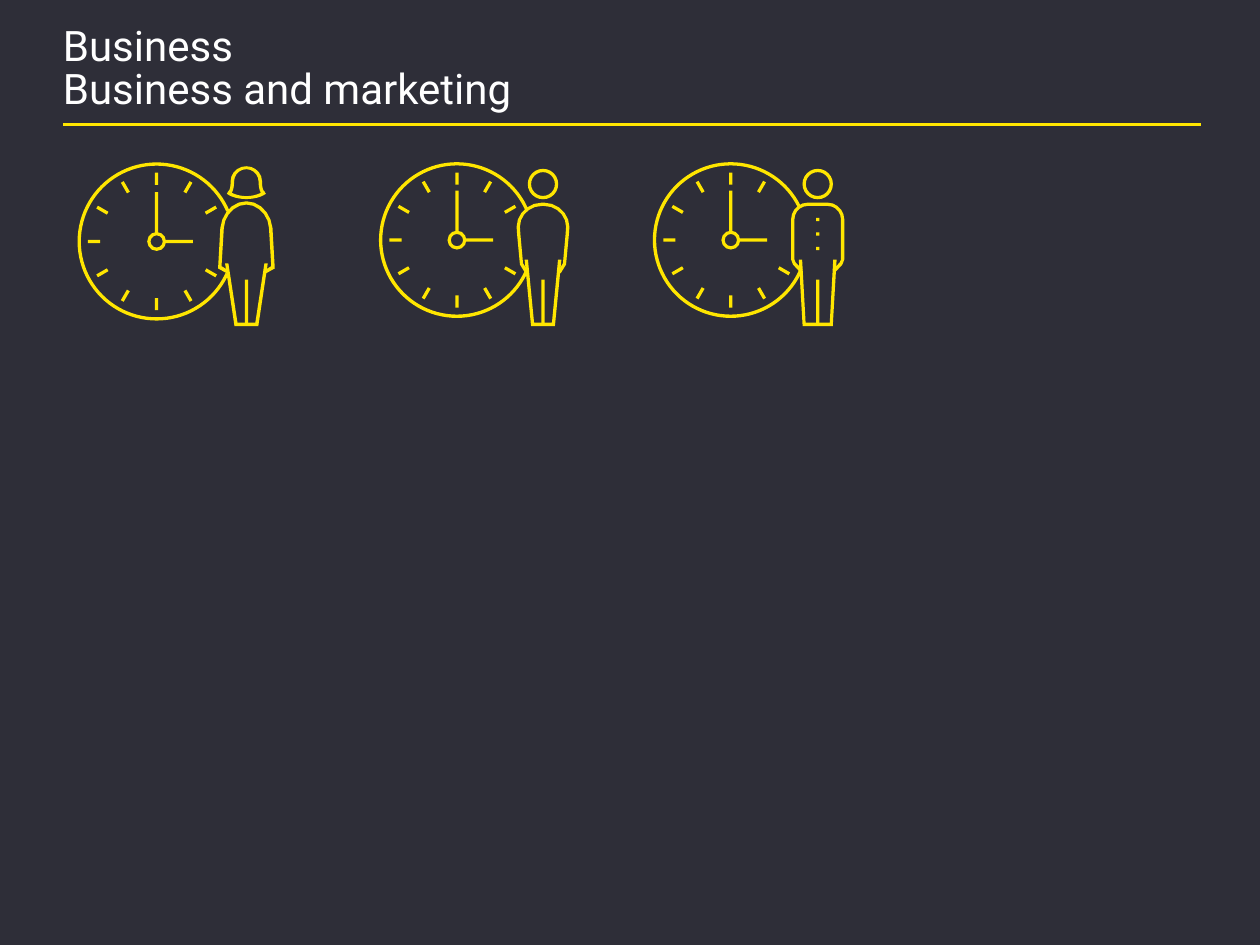
from math import cos, radians, sin

from pptx import Presentation
from pptx.dml.color import RGBColor
from pptx.enum.shapes import MSO_CONNECTOR, MSO_SHAPE
from pptx.enum.text import MSO_ANCHOR
from pptx.oxml.ns import qn
from pptx.util import Pt

YELLOW = RGBColor(0xFF, 0xE6, 0x00)
WHITE = RGBColor(0xFF, 0xFF, 0xFF)
DARK = RGBColor(0x2E, 0x2E, 0x38)
STROKE = 1.9

TITLE = "Business\vBusiness and marketing"

# Half outlines, (outer edge, inner edge): x from the person's axis, y on the slide.
# Two numbers are a corner, six are a Bezier curve.
HAIR = (
    [(0, 95), (4.7, 95, 9, 98.6, 9, 103.7), (9, 105.1, 9, 108.7, 10.4, 109.4),
     (11.2, 110.9), (10.8, 110.9), (10.4, 111.6, 6, 113.8, 0, 113.8)],
    [(0, 96.7), (4, 96.7, 7, 100, 7, 103.7), (7, 104.4, 7, 108, 8.3, 110.2),
     (6.8, 110.9, 4, 112.1, 0, 112.1)],
)
DRESS = (
    [(0, 115), (7.7, 115, 14, 121.7, 14.9, 130.3), (16.2, 153.4), (11.2, 156.2)],
    [(0, 116.9), (6.5, 116.9, 12.6, 123.1, 12.9, 130.3), (14.2, 152.1), (10.1, 154.6)],
)
ROUND_COAT = (
    [(0, 115.8), (0.7, 115.8), (8.6, 115.8, 15.1, 122.4, 15.1, 129.6),
     (14.8, 134), (13.2, 151.2), (10.1, 156.2)],
    [(0, 117.7), (0.7, 117.7), (7.6, 117.7, 13.2, 123.1, 13.2, 129.6),
     (12.9, 134), (11.4, 150.5), (8.6, 154.8)],
)
BUTTON_COAT = (
    [(0, 115.8), (5.8, 115.8), (10.8, 115.8, 15.2, 120.2, 15.2, 125.3), (15.2, 148.3),
     (14.1, 151.2), (10.1, 155.5)],
    [(0, 117.7), (5.8, 117.7), (9.7, 117.7, 13.3, 121, 13.3, 125.3), (13.3, 148.3),
     (12.6, 150), (8.6, 154.1)],
)

# Clock: centre x, centre y, radius, end angles of the open ring, hours left out.
# Trousers: hem half width, waist half width, waist y.
ICONS = [
    dict(clock=(89.5, 138, 45.2, 24.5, 336.8, {3}), axis=140.8, hair=HAIR,
         body=DRESS, trousers=(6.8, 12.2, 150.5), buttons=[]),
    dict(clock=(261.1, 137.2, 44.5, 24.3, 336.5, {3}), axis=310.3, hair=None,
         body=ROUND_COAT, trousers=(6.8, 10.5, 148.4), buttons=[]),
    dict(clock=(417.6, 137.2, 44.5, 24.3, 334.7, {2, 3}), axis=467.3, hair=None,
         body=BUTTON_COAT, trousers=(8.6, 10.8, 148.4), buttons=[125.5, 133.7, 142]),
]


def paint(shape):
    shape.shadow.inherit = False
    shape.fill.solid()
    shape.fill.fore_color.rgb = YELLOW
    shape.line.fill.background()


def add_part(icon, preset, x, y, width, height, adjustments=(), rotation=0):
    """Add a preset shape centred on x, y."""
    part = icon.shapes.add_shape(preset, Pt(x - width / 2), Pt(y - height / 2),
                                 Pt(width), Pt(height))
    for index, value in enumerate(adjustments):
        part.adjustments[index] = value
    if rotation:
        part.rotation = rotation
    paint(part)


def add_bar(icon, x, y, width, height, rotation=0):
    add_part(icon, MSO_SHAPE.RECTANGLE, x, y, width, height, rotation=rotation)


def add_ring(icon, x, y, diameter):
    add_part(icon, MSO_SHAPE.DONUT, x, y, diameter, diameter, [STROKE / diameter])


def flatten(edge, steps=5):
    points = []
    for part in edge:
        if len(part) == 2:
            points.append(part)
            continue
        controls = [points[-1], part[:2], part[2:4], part[4:]]
        for step in range(1, steps + 1):
            t = step / steps
            weights = ((1 - t) ** 3, 3 * t * (1 - t) ** 2, 3 * t * t * (1 - t), t ** 3)
            points.append(tuple(sum(w * c[i] for w, c in zip(weights, controls))
                                for i in (0, 1)))
    return points


def add_mirrored(icon, axis, edges):
    outer, inner = (flatten(edge) for edge in edges)
    # The top point lies on the axis, so the mirrored halves leave it out
    outer_left = [(-x, y) for x, y in outer[:0:-1]]
    inner_left = [(-x, y) for x, y in inner[1:]]
    outline = [(Pt(axis + x), Pt(y)) for x, y in outer_left + outer + inner[::-1] + inner_left]
    builder = icon.shapes.build_freeform(*outline[0], scale=1.0)
    builder.add_line_segments(outline[1:], close=True)
    paint(builder.convert_to_shape())


def add_clock(icon, x, y, radius, start, end, hidden_hours):
    # Open ring: angles are stored in 60000ths of a degree, adjustments in 100000ths
    add_part(icon, MSO_SHAPE.BLOCK_ARC, x, y, 2 * radius, 2 * radius,
             [start * 0.6, end * 0.6, STROKE / (2 * radius)])
    # Hour marks
    distance = radius - 9.4
    for hour in range(1, 13):
        if hour not in hidden_hours:
            angle = radians(hour * 30)
            add_bar(icon, x + distance * sin(angle), y - distance * cos(angle),
                    STROKE, 7, rotation=hour * 30 % 180)
    # Hands and hub
    add_bar(icon, x + 12.5, y, 16.6, STROKE)
    add_bar(icon, x, y - 16.2, STROKE, 24)
    add_ring(icon, x, y, 10.8)


def add_person(icon, axis, hair, body, trousers, buttons):
    if hair:
        add_mirrored(icon, axis, hair)
    else:
        add_ring(icon, axis, 105.2, 17.4)
    add_mirrored(icon, axis, body)
    hem, waist, waist_y = trousers
    add_mirrored(icon, axis, ([(0, 186.4), (hem, 186.4), (waist, waist_y)],
                              [(0, 184.4), (hem - 1.7, 184.4), (waist - 1.9, waist_y)]))
    add_bar(icon, axis, 172.4, STROKE, 25.2)
    for button_y in buttons:
        add_bar(icon, axis, button_y, STROKE, STROKE)


def add_text(slide, text, left, top, width, height, size, color, font, spacing):
    frame = slide.shapes.add_textbox(Pt(left), Pt(top), Pt(width), Pt(height)).text_frame
    frame.word_wrap = True
    frame.vertical_anchor = MSO_ANCHOR.TOP
    frame.margin_left = frame.margin_right = frame.margin_top = frame.margin_bottom = 0
    paragraph = frame.paragraphs[0]
    paragraph.text = text
    paragraph.line_spacing = spacing
    for run in paragraph.runs:
        run.font.size = Pt(size)
        run.font.name = font
        run.font.color.rgb = color


def main():
    deck = Presentation()
    deck.slide_width, deck.slide_height = Pt(720), Pt(540)
    slide = deck.slides.add_slide(deck.slide_layouts[6])
    slide.background.fill.solid()
    slide.background.fill.fore_color.rgb = DARK

    # Title and rule
    rule = slide.shapes.add_connector(MSO_CONNECTOR.STRAIGHT, Pt(36), Pt(71.3), Pt(686.2), Pt(71.3))
    rule.line.color.rgb = YELLOW
    rule.line.width = Pt(1.5)
    properties = rule.element.find(qn("p:spPr"))
    properties.append(properties.makeelement(qn("a:effectLst"), {}))
    add_text(slide, TITLE, 36, 15.8, 648, 46.8, size=24, color=WHITE, font="Roboto", spacing=0.85)

    # People with clocks
    for parts in ICONS:
        icon = slide.shapes.add_group_shape()
        add_clock(icon, *parts["clock"])
        add_person(icon, parts["axis"], parts["hair"], parts["body"],
                   parts["trousers"], parts["buttons"])

    deck.save("out.pptx")


if __name__ == "__main__":
    main()
